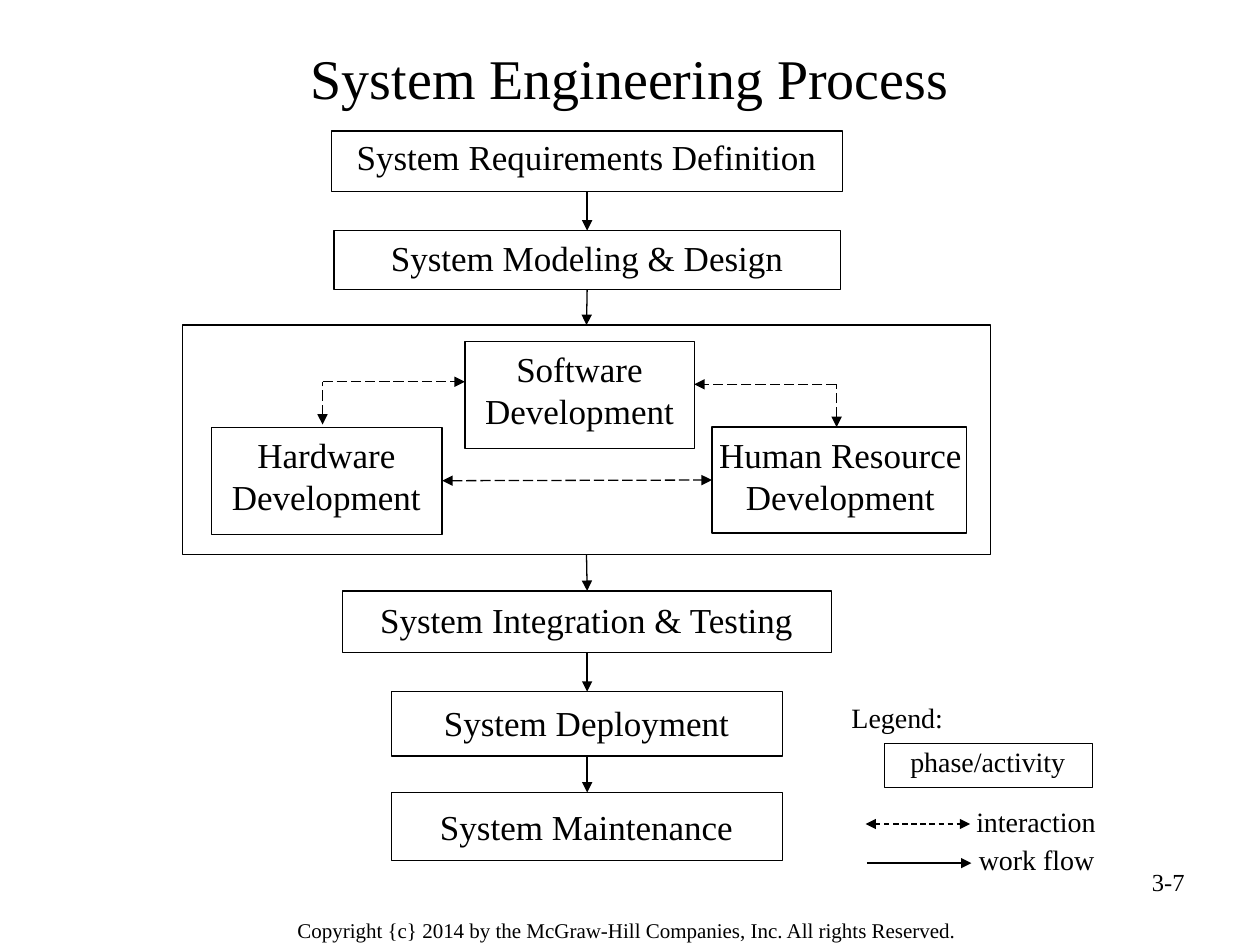
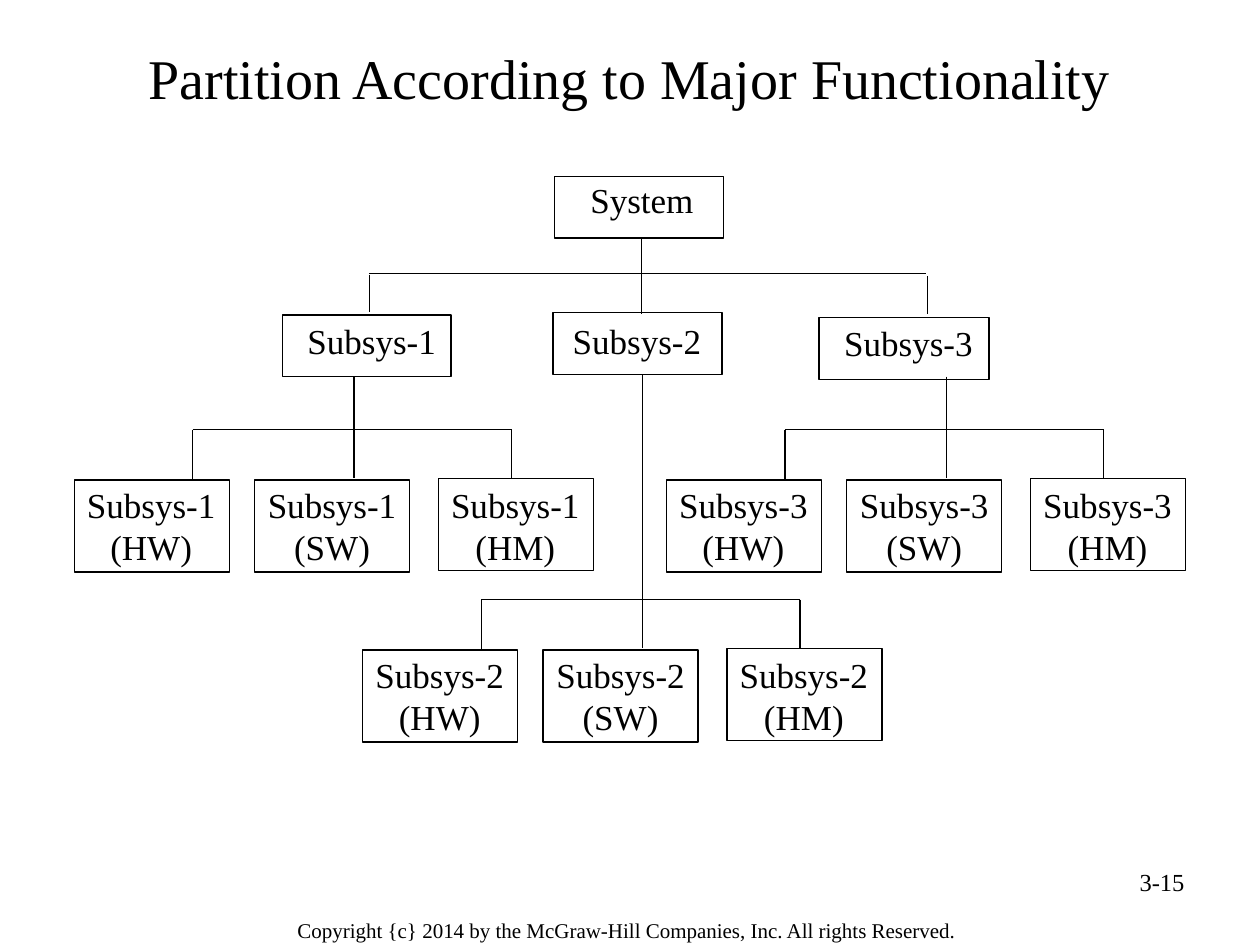
import pptx
import pptx.util
import pptx.dml.color
import pptx.enum.dml
import pptx.enum.shapes
import pptx.enum.text
import pptx.oxml.ns
import lxml.etree

Inches = pptx.util.Inches
Align = pptx.enum.text.PP_ALIGN
Anchor = pptx.enum.text.MSO_ANCHOR
Dash = pptx.enum.dml.MSO_LINE
BLACK = pptx.dml.color.RGBColor(0, 0, 0)
WHITE = pptx.dml.color.RGBColor(255, 255, 255)
FONT = "Times New Roman"
COPYRIGHT = "Copyright {c} 2014 by the McGraw-Hill Companies, Inc. All rights Reserved."
TOP, LEFT, BOTTOM, RIGHT = range(4)


class Deck:
    def __init__(self):
        self.presentation = pptx.Presentation()
        self.presentation.slide_width = Inches(10)
        self.presentation.slide_height = Inches(7.5)
        self.slide = None

    def start_slide(self, title, number):
        self.slide = self.presentation.slides.add_slide(self.presentation.slide_layouts[6])
        self.slide.background.fill.solid()
        self.slide.background.fill.fore_color.rgb = WHITE
        self.text(COPYRIGHT, (1.88, 7.22, 6.19, 0.31), size=12, margins=(0.11, 0.06))
        self.text(number, (7.17, 6.83, 2.33, 0.52), size=14, align=Align.RIGHT)
        self.text(title, (0.5, 0.3, 9, 0.62), size=32, anchor=Anchor.MIDDLE)

    def text(self, text, area, size=20, align=Align.CENTER, anchor=Anchor.TOP, margins=(0.1, 0.05)):
        shape = self.slide.shapes.add_textbox(*map(Inches, area))
        text_frame = shape.text_frame
        text_frame.word_wrap = True
        text_frame.vertical_anchor = anchor
        text_frame.margin_left = text_frame.margin_right = Inches(margins[0])
        text_frame.margin_top = text_frame.margin_bottom = Inches(margins[1])
        text_frame.text = text
        paragraph = text_frame.paragraphs[0]
        paragraph.alignment = align
        for run in paragraph.runs:
            run.font.name = FONT
            run.font.size = pptx.util.Pt(size)
            run.font.color.rgb = BLACK

    def frame(self, area):
        shape = self.slide.shapes.add_shape(
            pptx.enum.shapes.MSO_SHAPE.RECTANGLE, *map(Inches, area))
        shape.shadow.inherit = False
        shape.fill.background()
        shape.line.color.rgb = BLACK
        shape.line.width = pptx.util.Pt(0.75)
        return shape

    def box(self, text, area, label_area, size=20):
        self.text(text, label_area, size)
        return self.frame(area)

    def line(self, start, end, dash=None, arrows=()):
        connector = self.slide.shapes.add_connector(
            pptx.enum.shapes.MSO_CONNECTOR.STRAIGHT, *map(Inches, start + end))
        connector.line.color.rgb = BLACK
        connector.line.width = pptx.util.Pt(0.75)
        if dash:
            connector.line.dash_style = dash
        qualified = pptx.oxml.ns.qn
        for arrow in arrows:
            lxml.etree.SubElement(connector.line._get_or_add_ln(), qualified(f"a:{arrow}"), type="triangle")
        lxml.etree.SubElement(connector._element.spPr, qualified("a:effectLst"))
        return connector

    def join(self, first, first_side, second, second_side, **style):
        connector = self.line((0, 0), (1, 1), **style)
        connector.begin_connect(first, first_side)
        connector.end_connect(second, second_side)


def build_process(deck):
    deck.start_slide("System Engineering Process", "3-7")
    both = ("headEnd", "tailEnd")
    requirements = deck.box("System Requirements Definition", (2.63, 1.04, 4.06, 0.48), (2.64, 1.03, 4.03, 0.49))
    modeling = deck.box("System Modeling & Design", (2.65, 1.83, 4.02, 0.47), (2.71, 1.83, 3.9, 0.49))
    development = deck.frame((1.45, 2.58, 6.41, 1.82))
    testing = deck.box("System Integration & Testing", (2.72, 4.69, 3.88, 0.49), (2.73, 4.7, 3.85, 0.49))
    deployment = deck.box("System Deployment", (3.11, 5.49, 3.1, 0.51), (3.3, 5.52, 2.71, 0.49))
    maintenance = deck.box("System Maintenance", (3.11, 6.29, 3.1, 0.54), (3.24, 6.34, 2.83, 0.52))
    phases = [requirements, modeling, development, testing, deployment, maintenance]
    for phase, following in zip(phases, phases[1:]):
        deck.join(phase, BOTTOM, following, TOP, arrows=("tailEnd",))

    deck.box("Software Development", (3.69, 2.71, 1.82, 0.85), (3.7, 2.71, 1.8, 0.82))
    human = deck.box("Human Resource Development", (5.65, 3.39, 2.02, 0.84), (5.59, 3.39, 2.16, 0.82))
    hardware = deck.box("Hardware Development", (1.68, 3.39, 1.83, 0.85), (1.68, 3.39, 1.82, 0.83))
    deck.join(hardware, RIGHT, human, LEFT, dash=Dash.LONG_DASH, arrows=both)
    for x, corner_y, bottom, software_x in ((2.56, 3.03, 3.37, 3.69), (6.64, 3.05, 3.39, 5.51)):
        deck.line((x, bottom), (x, corner_y), Dash.LONG_DASH, ("headEnd",))
        deck.line((x, corner_y), (software_x, corner_y), Dash.LONG_DASH, ("tailEnd",))

    deck.text("Legend:", (6.66, 5.51, 1.54, 0.43), 16, Align.LEFT)
    deck.box("phase/activity", (7.02, 5.9, 1.65, 0.35), (6.9, 5.86, 1.88, 0.43), 16)
    deck.line((6.87, 6.54), (7.7, 6.54), Dash.DASH, both)
    deck.text("interaction", (7.65, 6.34, 1.54, 0.43), 16, Align.LEFT)
    deck.line((6.88, 6.85), (7.71, 6.85), arrows=("tailEnd",))
    deck.text("work flow", (7.67, 6.64, 1.54, 0.36), 16, Align.LEFT)


def build_parts(deck, subsystem, dx, dy):
    bar_y = 3.41 + dy
    deck.line((1.53 + dx, bar_y), (4.06 + dx, bar_y))
    for x, top, bottom in ((1.53, 3.41, 3.8), (4.06, 3.41, 3.8), (2.81, 2.99, 3.79)):
        deck.line((x + dx, top + dy), (x + dx, bottom + dy))
    for part, x, y, label_x, label_width in (
            ("HW", 0.59, 3.81, 0.4, 1.6),
            ("SW", 2.02, 3.81, 1.84, 1.59),
            ("HM", 3.48, 3.8, 3.27, 1.64)):
        deck.box(f"{subsystem} ({part})", (x + dx, y + dy, 1.23, 0.73),
                 (label_x + dx, 3.79 + dy, label_width, 0.8))


def build_partition(deck):
    deck.start_slide("Partition According to Major Functionality", "3-15")
    deck.box("System", (4.4, 1.4, 1.34, 0.49), (4.32, 1.37, 1.55, 0.61))
    deck.line((2.93, 2.17), (7.35, 2.17))
    for x, top, bottom in ((5.09, 1.89, 2.49), (2.93, 2.18, 2.48), (7.36, 2.19, 2.49), (5.1, 2.98, 4.95)):
        deck.line((x, top), (x, bottom))
    for name, area, label_area, dx, dy in (
            ("Subsys-1", (2.24, 2.5, 1.34, 0.49), (2.08, 2.49, 1.74, 0.61), 0, 0),
            ("Subsys-2", (4.39, 2.48, 1.34, 0.49), (4.17, 2.49, 1.77, 0.61), 2.29, 1.35),
            ("Subsys-3", (6.5, 2.52, 1.35, 0.49), (6.35, 2.5, 1.72, 0.61), 4.7, 0)):
        deck.box(name, area, label_area)
        build_parts(deck, name, dx, dy)


def main():
    deck = Deck()
    build_process(deck)
    build_partition(deck)
    deck.presentation.save("out.pptx")


if __name__ == "__main__":
    main()
